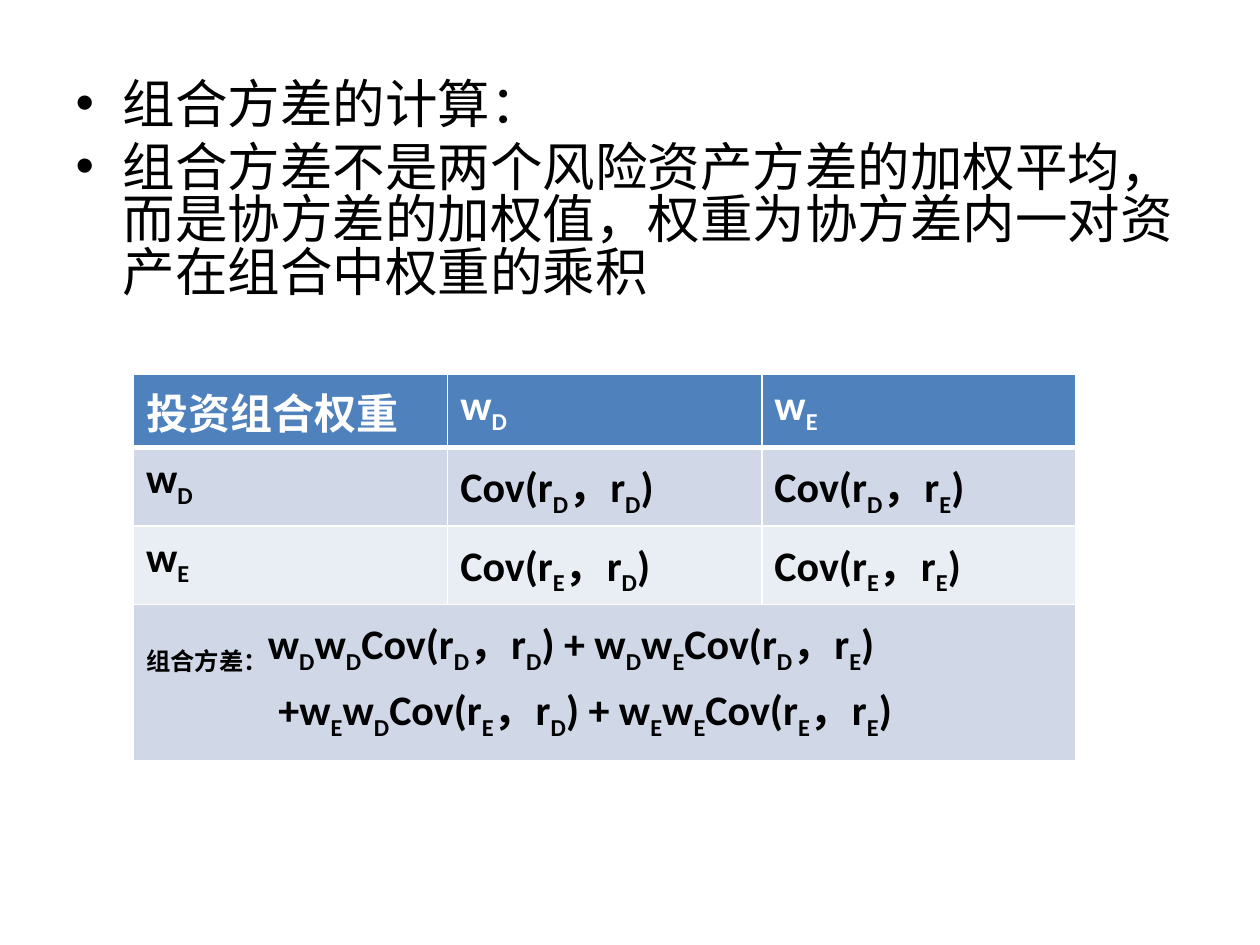
"""Build a slide on computing the variance of a two-asset portfolio."""
from dataclasses import dataclass

from lxml import etree
from pptx import Presentation
from pptx import util as u
from pptx.dml.color import RGBColor
from pptx.enum import text
from pptx.oxml.ns import qn


@dataclass(frozen=True)
class Theme:
    """Colours, type sizes and font of the slide."""
    font: str = "Calibri"
    black: str = "000000"
    white: str = "FFFFFF"
    header: str = "4F81BD"
    bands: tuple = ("D0D8E8", "E9EDF4")
    body_size: int = 30
    table_size: int = 24
    thin: int = 1
    thick: int = 3


def write(paragraph, content, *, font, size, color, bold=False):
    """Fill a paragraph, setting every piece between tildes as subscript."""
    for index, piece in enumerate(content.split("~")):
        if not piece:
            continue
        run = paragraph.add_run()
        run.text = piece
        run.font.name = font
        run.font.size = u.Pt(size)
        run.font.bold = bold
        run.font.color.rgb = RGBColor.from_string(color)
        if index % 2:
            run.font._element.set("baseline", "-25000")


def covariance(first, second):
    """Return the marked-up covariance of two assets."""
    return f"Cov(r~{first}~，r~{second}~)"


def weighted(first, second):
    """Return a covariance multiplied by both portfolio weights."""
    return f"w~{first}~w~{second}~{covariance(first, second)}"


class SlideBuilder:
    """Hold the theme and the current slide, and add elements to it."""

    def __init__(self, presentation, theme):
        self.theme = theme
        self.slide = presentation.slides.add_slide(presentation.slide_layouts[1])
        title = self.slide.shapes.title._element
        title.getparent().remove(title)

    def bullets(self, lines, left, top, width, height):
        """Write bulleted lines in the body placeholder."""
        body = self.slide.placeholders[1]
        body.left, body.top = u.Inches(left), u.Inches(top)
        body.width, body.height = u.Inches(width), u.Inches(height)
        frame = body.text_frame
        frame.auto_size = text.MSO_AUTO_SIZE.NONE
        for index, line in enumerate(lines):
            paragraph = frame.add_paragraph() if index else frame.paragraphs[0]
            paragraph.line_spacing = 0.83
            write(paragraph, line, font=self.theme.font,
                  size=self.theme.body_size, color=self.theme.black)

    def borders(self, cell, top, bottom):
        """Draw white lines on all four sides of a cell."""
        properties = cell._tc.get_or_add_tcPr()
        sides = {"lnL": self.theme.thin, "lnR": self.theme.thin,
                 "lnT": top, "lnB": bottom}
        for tag, width in sides.items():
            line = etree.SubElement(properties, qn(f"a:{tag}"), w=str(u.Pt(width)))
            fill = etree.SubElement(line, qn("a:solidFill"))
            etree.SubElement(fill, qn("a:srgbClr"), val=self.theme.white)

    def cell(self, cell, lines, row, indent=0):
        """Format a table cell and write its lines, indenting later ones."""
        theme = self.theme
        self.borders(cell, theme.thick if row == 1 else theme.thin,
                     theme.thin if row else theme.thick)
        cell.fill.solid()
        cell.fill.fore_color.rgb = RGBColor.from_string(
            theme.bands[(row - 1) % 2] if row else theme.header)
        frame = cell.text_frame
        for index, line in enumerate(lines):
            paragraph = frame.add_paragraph() if index else frame.paragraphs[0]
            if index:
                paragraph._p.get_or_add_pPr().set("marL", str(u.Inches(indent)))
            write(paragraph, line, font=theme.font, size=theme.table_size,
                  color=theme.black if row else theme.white, bold=True)

    def table(self, rows, summary, left, top, width, heights, indent):
        """Add a grid of cells closed by one merged summary row."""
        columns = len(rows[0])
        table = self.slide.shapes.add_table(
            len(heights), columns, u.Inches(left), u.Inches(top),
            u.Inches(width), u.Inches(sum(heights))).table
        for row, height in zip(table.rows, heights):
            row.height = u.Inches(height)
        for row, contents in enumerate(rows):
            for column, content in enumerate(contents):
                self.cell(table.cell(row, column), [content], row)
        last = len(rows)
        table.cell(last, 0).merge(table.cell(last, columns - 1))
        self.cell(table.cell(last, 0), summary, last, indent)


def main():
    """Build and save the slide."""
    presentation = Presentation()
    presentation.slide_width, presentation.slide_height = u.Inches(10), u.Inches(7.5)
    builder = SlideBuilder(presentation, Theme())
    builder.bullets(
        ["组合方差的计算：",
         "组合方差不是两个风险资产方差的加权平均，而是协方差的加权值，"
         "权重为协方差内一对资产在组合中权重的乘积"],
        0.5, 0.6, 9, 6.1)

    assets = "DE"
    rows = [["投资组合权重"] + [f"w~{asset}~" for asset in assets]]
    rows += [[f"w~{first}~"] + [covariance(first, second) for second in assets]
             for first in assets]
    sums = [" + ".join(weighted(first, second) for second in assets)
            for first in assets]
    summary = ["~组合方差：~" + sums[0], "+" + sums[1]]
    builder.table(rows, summary, 1.06, 2.97, 7.48, [0.43] * 3 + [1.24], indent=1.05)
    presentation.save("out.pptx")


if __name__ == "__main__":
    main()
